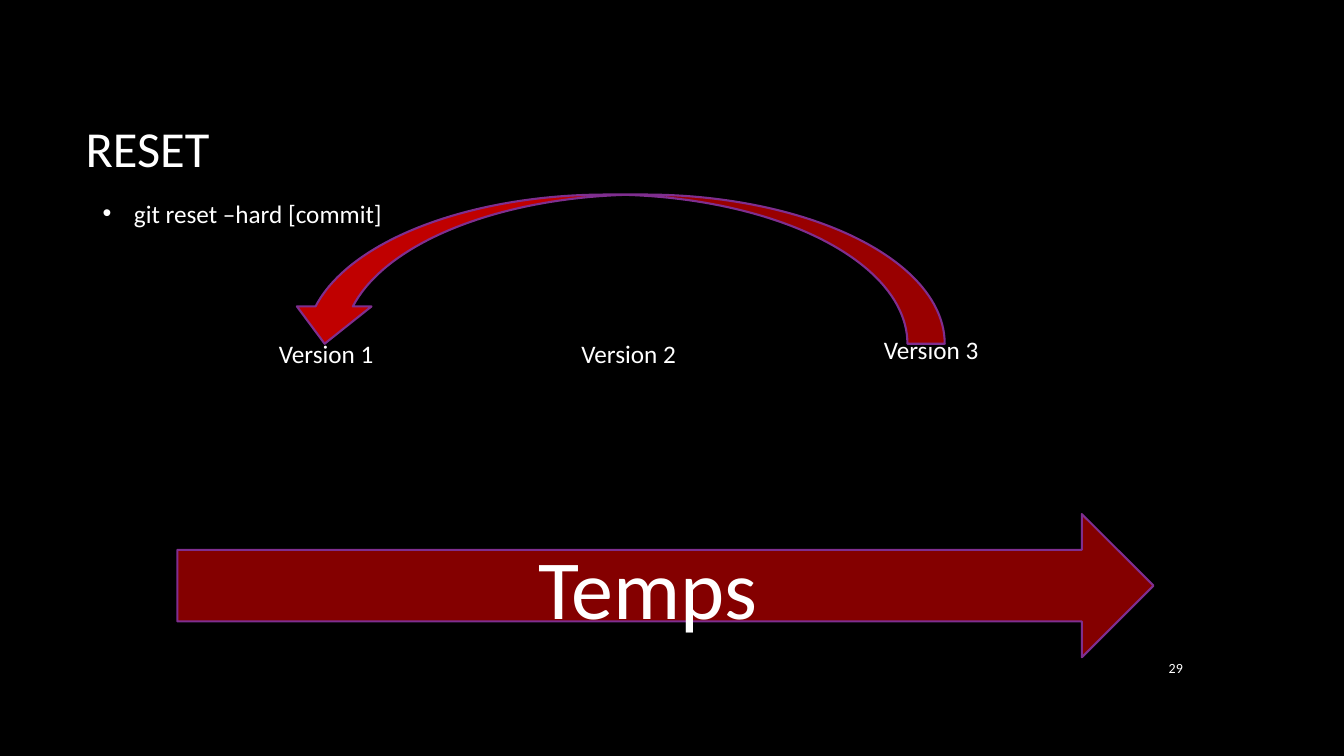
from pptx import Presentation
from pptx import util as u
from pptx.dml import color
from pptx.enum import shapes, text
from pptx.oxml import ns
from lxml import etree

BLACK = color.RGBColor(0x00, 0x00, 0x00)
WHITE = color.RGBColor(0xFF, 0xFF, 0xFF)
RED = color.RGBColor(0xC0, 0x00, 0x00)
PURPLE = color.RGBColor(0x7F, 0x2E, 0x8F)


class SlideBuilder:
    font = "Calibri"

    def __init__(self, slide):
        self.slide = slide
        slide.background.fill.solid()
        slide.background.fill.fore_color.rgb = BLACK

    def add_words(self, frame, words, size, align):
        paragraph = frame.paragraphs[0]
        paragraph.alignment = align
        run = paragraph.add_run()
        run.text = words
        run.font.name = self.font
        run.font.size = u.Pt(size)
        run.font.color.rgb = WHITE
        return paragraph

    def label(self, box, words, size, align=text.PP_ALIGN.LEFT,
              anchor=text.MSO_ANCHOR.MIDDLE):
        frame = self.slide.shapes.add_textbox(*map(u.Inches, box)).text_frame
        frame.word_wrap = True
        frame.vertical_anchor = anchor
        return self.add_words(frame, words, size, align)

    def bullet(self, box, words, size):
        paragraph = self.label(box, words, size)
        paragraph.space_after = u.Pt(10)
        properties = paragraph._p.get_or_add_pPr()
        properties.set("marL", str(u.Inches(0.31)))
        properties.set("indent", str(-u.Inches(0.31)))
        bullet_font = etree.SubElement(properties, ns.qn("a:buFont"))
        bullet_font.set("typeface", "Arial")
        etree.SubElement(properties, ns.qn("a:buChar")).set("char", "•")

    def arrow(self, kind, box):
        shape = self.slide.shapes.add_shape(kind, *map(u.Inches, box))
        shape.shadow.inherit = False
        shape.fill.solid()
        shape.fill.fore_color.rgb = RED
        shape.line.color.rgb = PURPLE
        shape.line.width = u.Pt(1.5)
        return shape

    def time_arrow(self, box, words, size, opacity):
        shape = self.arrow(shapes.MSO_SHAPE.RIGHT_ARROW, box)
        fill_color = shape.element.spPr.find(
            ns.qn("a:solidFill") + "/" + ns.qn("a:srgbClr"))
        alpha = etree.SubElement(fill_color, ns.qn("a:alpha"))
        alpha.set("val", str(opacity * 1000))
        shape.text_frame.vertical_anchor = text.MSO_ANCHOR.MIDDLE
        self.add_words(shape.text_frame, words, size, text.PP_ALIGN.CENTER)

    def return_arrow(self, box):
        shape = self.arrow(shapes.MSO_SHAPE.CURVED_DOWN_ARROW, box)
        shape.element.spPr.find(ns.qn("a:xfrm")).set("flipH", "1")


def main():
    deck = Presentation()
    deck.slide_width = u.Inches(13.33)
    deck.slide_height = u.Inches(7.5)
    reset = SlideBuilder(deck.slides.add_slide(deck.slide_layouts[6]))

    reset.label((0.75, 0.67, 11.08, 1.59), "RESET", 36)
    reset.bullet((0.92, 1.27, 4.25, 1.69), "git reset –hard [commit]", 18)
    reset.label((11.23, 6.42, 0.6, 0.41), "29", 10, text.PP_ALIGN.RIGHT)
    reset.time_arrow((1.76, 5.1, 9.68, 1.42), "Temps", 60, 69)
    for index, version_top in enumerate((3.31, 3.31, 3.27)):
        reset.label((2.22 + 3 * index, version_top, 2.03, 0.4),
                    f"Version {index + 1}", 18,
                    text.PP_ALIGN.CENTER, text.MSO_ANCHOR.TOP)
    reset.return_arrow((2.85, 1.93, 6.52, 1.48))

    deck.save("out.pptx")


if __name__ == "__main__":
    main()
